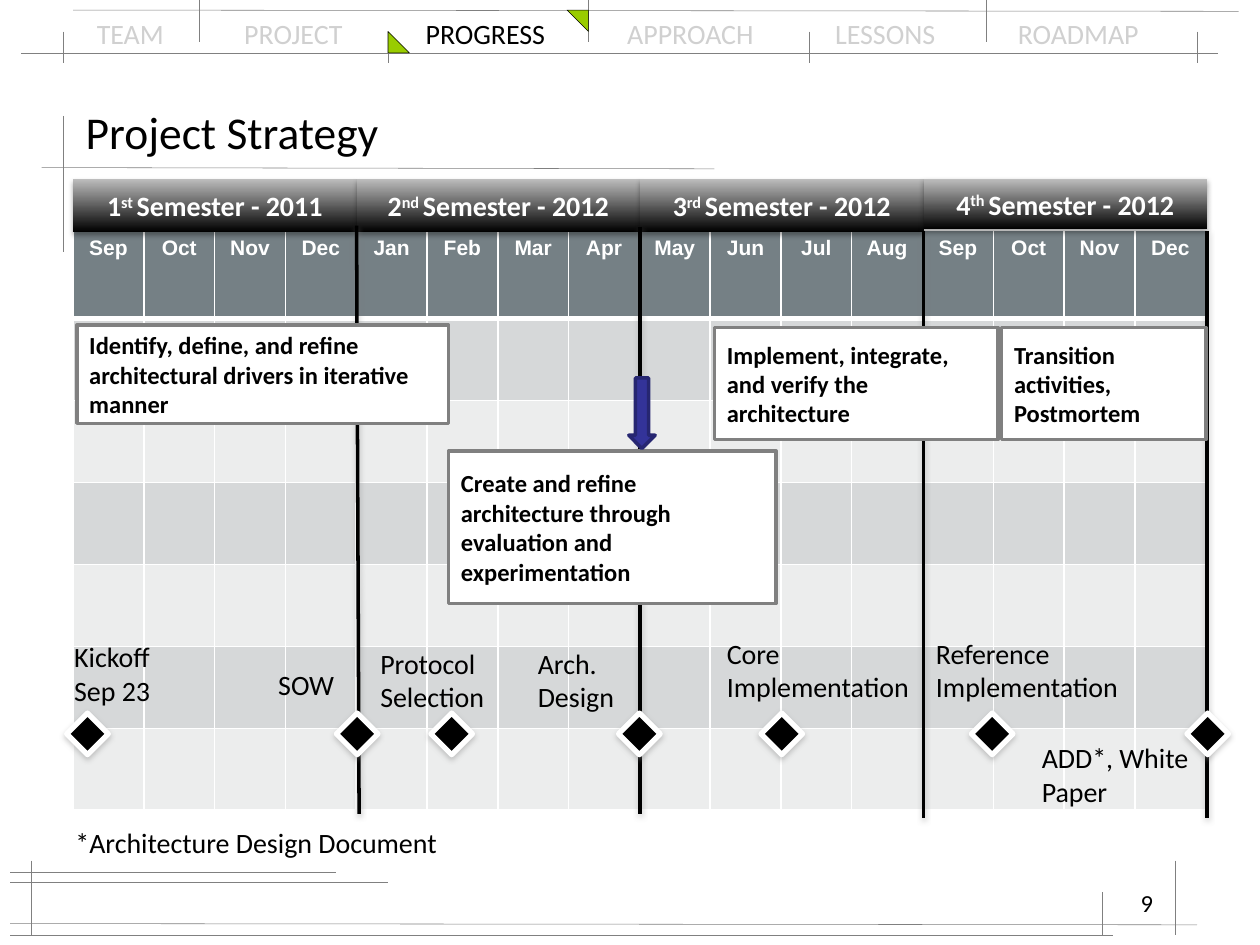
from pptx import Presentation
from pptx.dml.color import RGBColor
from pptx.enum.shapes import MSO_CONNECTOR, MSO_SHAPE
from pptx.enum.text import MSO_ANCHOR, PP_ALIGN
from pptx.oxml import parse_xml
from pptx.oxml.ns import nsdecls
from pptx.util import Inches, Pt

COLORS = {
    "black": "000000", "white": "FFFFFF", "muted": "D0D0D0", "gray": "808080",
    "silver": "BDBDBD", "green": "99CC00", "header": "758085", "band_dark": "D6D8D9",
    "band_light": "ECEDED", "arrow": "333399", "arrow_edge": "262671",
}

# Content
SECTIONS = ["TEAM", "PROJECT", "PROGRESS", "APPROACH", "LESSONS", "ROADMAP"]
CURRENT_SECTION = "PROGRESS"
SECTION_TABS = [1.17, 2.61, 4.21, 5.86, 7.31]
TITLE = "Project Strategy"
SEMESTERS = [  # number, ordinal ending, name, bar height
    ("1", "st ", "Semester - 2011", 0.42),
    ("2", "nd ", "Semester - 2012", 0.42),
    ("3", "rd ", "Semester - 2012", 0.42),
    ("4", "th ", "Semester - 2012", 0.4),
]
MONTHS = "Sep Oct Nov Dec Jan Feb Mar Apr May Jun Jul Aug Sep Oct Nov Dec".split()
PHASES = [  # text, left, top, width, height
    ("Identify, define, and refine architectural drivers in iterative manner",
     0.61, 2.58, 2.95, 0.78),
    ("Create and refine architecture through evaluation and experimentation",
     3.56, 3.58, 2.6, 1.21),
    ("Implement, integrate, and verify the architecture", 5.67, 2.6, 2.25, 0.89),
    ("Transition activities,\nPostmortem", 7.95, 2.6, 1.62, 0.89),
]
MILESTONES = [  # diamond left, label, label left, top, width, height
    (0.53, "Kickoff\nSep 23", 0.49, 5.03, 0.82, 0.64),
    (2.67, "SOW", 2.11, 5.25, 0.65, 0.37),
    (3.42, "Protocol Selection", 2.92, 5.08, 1.11, 0.64),
    (4.91, "Arch.\nDesign", 4.17, 5.08, 1.42, 0.64),
    (6.04, "Core Implementation", 5.67, 5, 1.75, 0.64),
    (7.71, "Reference Implementation", 7.33, 5, 1.88, 0.64),
    (9.42, "ADD*, White Paper", 8.17, 5.83, 1.5, 0.64),
]
FOOTNOTE = "*Architecture Design Document"
PAGE_NUMBER = "9"

# Thin rules of the page frame: x1, y1, x2, y2
FRAME_RULES = [
    (0.17, 0.42, 9.67, 0.42), (0.58, 0.08, 9.83, 0.09),
    (0.5, 0.92, 0.5, 2), (0.33, 1.33, 5.67, 1.34),
    (0.08, 7, 3.08, 7), (0.08, 7.33, 9.5, 7.34),
    (0.25, 6.83, 0.25, 7.42), (0.08, 6.92, 2.67, 6.92),
    (0.08, 7.42, 8.83, 7.42), (9.33, 6.83, 9.33, 7.42), (8.75, 7.08, 8.75, 7.42),
] + [(x, 0.25, x, 0.5) for x in (0.5, 3.08, 6.42, 9.5)] \
  + [(x, -0.25, x, 0.33) for x in (1.58, 4.67, 7.83)]
SEMESTER_RULES = [
    (2.83, 1.79, 2.85, 6.46), (5.08, 1.8, 5.08, 6.46),
    (7.33, 1.83, 7.33, 6.49), (9.58, 1.83, 9.58, 6.49),
]
GRID_LEFT, GRID_WIDTH = 0.58, 8.99
SEMESTER_WIDTH = 2.25


def rgb(name):
    return RGBColor.from_string(COLORS[name])


def set_font(font, size, color="black", bold=False, name="Calibri"):
    font.name, font.size, font.bold = name, Pt(size), bold
    font.color.rgb = rgb(color)


def add_shadow(shape, color, opacity, blur, distance):
    shape._element.spPr.append(parse_xml(
        f'<a:effectLst {nsdecls("a")}><a:outerShdw blurRad="{Pt(blur)}" dist="{Pt(distance)}" '
        f'dir="5400000" rotWithShape="0"><a:srgbClr val="{COLORS[color]}">'
        f'<a:alpha val="{opacity * 1000}"/></a:srgbClr></a:outerShdw></a:effectLst>'))


def add_rule(slide, ends, color, width, shadow=False):
    rule = slide.shapes.add_connector(MSO_CONNECTOR.STRAIGHT, *map(Inches, ends))
    rule.line.color.rgb, rule.line.width = rgb(color), Pt(width)
    if shadow:
        add_shadow(rule, "gray", 38, 3.1, 1.6)
    else:
        rule._element.spPr.append(parse_xml(f'<a:effectLst {nsdecls("a")}/>'))


def add_figure(slide, kind, place, fill, edge, width, shadow=False):
    figure = slide.shapes.add_shape(kind, *map(Inches, place))
    figure.fill.solid()
    figure.fill.fore_color.rgb = rgb(fill)
    figure.line.color.rgb, figure.line.width = rgb(edge), Pt(width)
    if shadow:
        add_shadow(figure, "gray", 38, 3.1, 1.6)
    else:
        figure.shadow.inherit = False
    return figure


def write(frame, text, size, bold=False, align=PP_ALIGN.LEFT):
    frame.text, frame.word_wrap = text, True
    for paragraph in frame.paragraphs:
        paragraph.alignment = align
        for run in paragraph.runs:
            set_font(run.font, size, bold=bold)


def add_label(slide, text, place, size=16, align=PP_ALIGN.LEFT):
    label = slide.shapes.add_textbox(*map(Inches, place))
    write(label.text_frame, text, size, align=align)


def add_navigation(slide):
    frame = slide.shapes.add_textbox(*map(Inches, (0.67, 0.08, 8.67, 0.37))).text_frame
    frame.word_wrap = True
    paragraph = frame.paragraphs[0]
    stops = "".join(f'<a:tab pos="{Inches(x)}" algn="l"/>' for x in SECTION_TABS)
    paragraph._p.get_or_add_pPr().append(
        parse_xml(f'<a:tabLst {nsdecls("a")}>{stops}</a:tabLst>'))
    for i, section in enumerate(SECTIONS):
        run = paragraph.add_run()
        run.text = f"\t{section}" if i else section
        set_font(run.font, 16, "black" if section == CURRENT_SECTION else "muted")


def style_cell(cell, fill, row):
    widths = {"L": 1, "R": 1, "T": 3 if row == 1 else 1, "B": 3 if row == 0 else 1}
    properties = cell._tc.get_or_add_tcPr()
    for side, width in widths.items():
        properties.append(parse_xml(
            f'<a:ln{side} {nsdecls("a")} w="{Pt(width)}"><a:solidFill>'
            f'<a:srgbClr val="{COLORS["white"]}"/></a:solidFill></a:ln{side}>'))
    cell.fill.solid()
    cell.fill.fore_color.rgb = rgb(fill)


def add_calendar(slide):
    heights = [0.7] + [0.65] * 6
    place = (GRID_LEFT, 1.83, GRID_WIDTH, sum(heights))
    table = slide.shapes.add_table(len(heights), len(MONTHS), *map(Inches, place)).table
    for column in table.columns:
        column.width = Inches(GRID_WIDTH / len(MONTHS))
    for r, height in enumerate(heights):
        table.rows[r].height = Inches(height)
        fill = "header" if r == 0 else ("band_light", "band_dark")[r % 2]
        for cell in table.rows[r].cells:
            style_cell(cell, fill, r)
    for cell, month in zip(table.rows[0].cells, MONTHS):
        cell.text = month
        paragraph = cell.text_frame.paragraphs[0]
        paragraph.alignment = PP_ALIGN.CENTER
        set_font(paragraph.runs[0].font, 12, "white", True, "Arial")


def add_semester(slide, index, number, ending, name, height):
    place = (GRID_LEFT + index * SEMESTER_WIDTH, 1.42, SEMESTER_WIDTH, height)
    bar = slide.shapes.add_shape(MSO_SHAPE.RECTANGLE, *map(Inches, place))
    bar.fill.gradient()
    bar.fill.gradient_angle = 90
    for stop, color, position in zip(bar.fill.gradient_stops, ("black", "silver"), (0, 1)):
        stop.color.rgb, stop.position = rgb(color), position
    bar.line.fill.background()
    add_shadow(bar, "black", 35, 3.1, 1.8)
    bar.text_frame.vertical_anchor = MSO_ANCHOR.MIDDLE
    paragraph = bar.text_frame.paragraphs[0]
    paragraph.alignment = PP_ALIGN.CENTER
    for text in (number, ending, name):
        run = paragraph.add_run()
        run.text = text
        set_font(run.font, 16, "white", True)
    paragraph.runs[1].font._element.set("baseline", "30000")


def main():
    deck = Presentation()
    deck.slide_width, deck.slide_height = Inches(10), Inches(7.5)
    slide = deck.slides.add_slide(deck.slide_layouts[5])

    # Page frame and navigation
    add_navigation(slide)
    for ends in FRAME_RULES:
        add_rule(slide, ends, "gray", 0.3)
    for left, top, flipped in ((3.08, 0.25, False), (4.5, 0.08, True)):
        marker = add_figure(slide, MSO_SHAPE.RIGHT_TRIANGLE, (left, top, 0.17, 0.17),
                            "green", "black", 0.3)
        marker.rotation = 180 if flipped else 0

    # Title
    title = slide.shapes.title
    title.left, title.top, title.width, title.height = map(Inches, (0.58, 0.75, 8.83, 0.58))
    write(title.text_frame, TITLE, 26)
    title.text_frame.vertical_anchor = MSO_ANCHOR.MIDDLE

    # Calendar with semester bars and dividers
    add_calendar(slide)
    for index, semester in enumerate(SEMESTERS):
        add_semester(slide, index, *semester)
    for ends in SEMESTER_RULES:
        add_rule(slide, ends, "black", 2, shadow=True)

    # Phases
    for text, *place in PHASES:
        phase = add_figure(slide, MSO_SHAPE.RECTANGLE, place, "white", "gray", 2)
        write(phase.text_frame, text, 14, bold=True)
        phase.text_frame.vertical_anchor = MSO_ANCHOR.MIDDLE
    add_figure(slide, MSO_SHAPE.DOWN_ARROW, (4.99, 3, 0.21, 0.56), "arrow", "arrow_edge", 2)

    # Milestones
    for left, text, *place in MILESTONES:
        add_figure(slide, MSO_SHAPE.DIAMOND, (left, 5.66, 0.33, 0.33),
                   "black", "white", 3, shadow=True)
        add_label(slide, text, place)

    # Footer
    add_label(slide, FOOTNOTE, (0.5, 6.5, 3.22, 0.37))
    add_label(slide, PAGE_NUMBER, (7.17, 7, 2.08, 0.5), 14, PP_ALIGN.RIGHT)
    deck.save("out.pptx")


if __name__ == "__main__":
    main()
